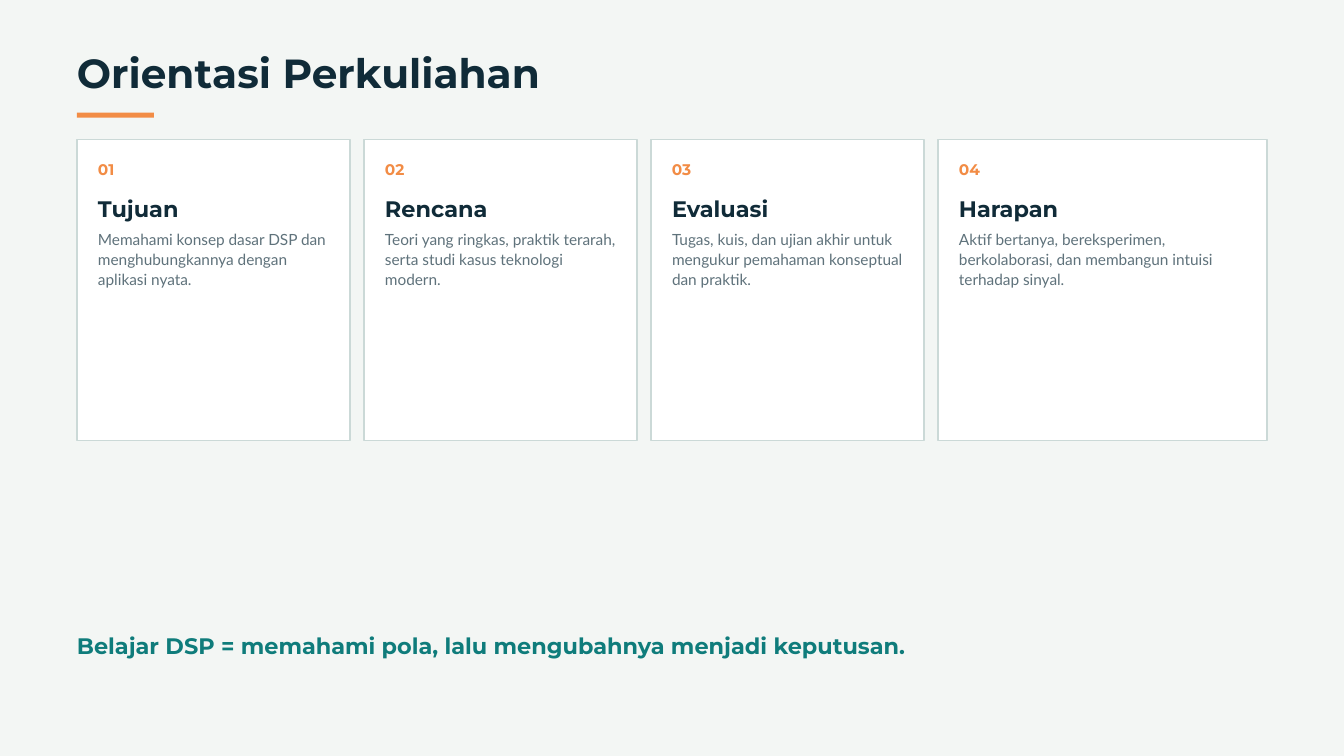
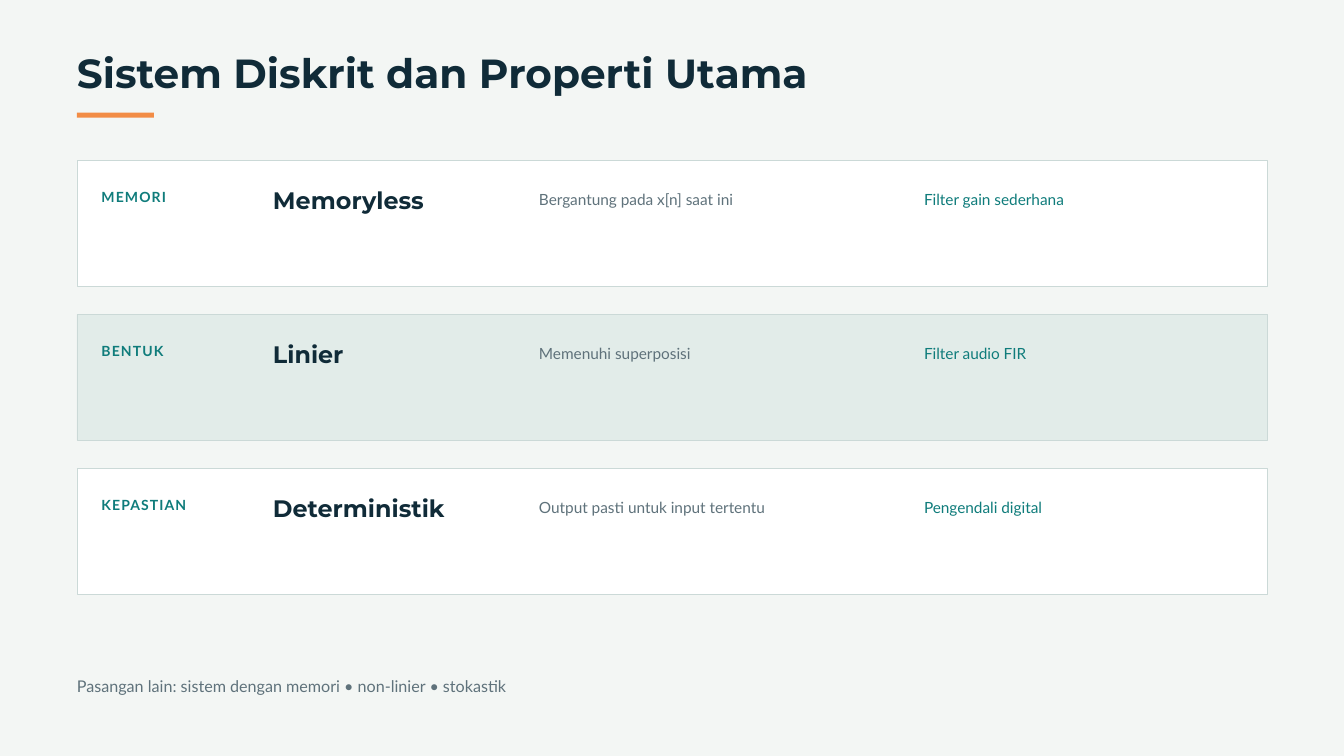
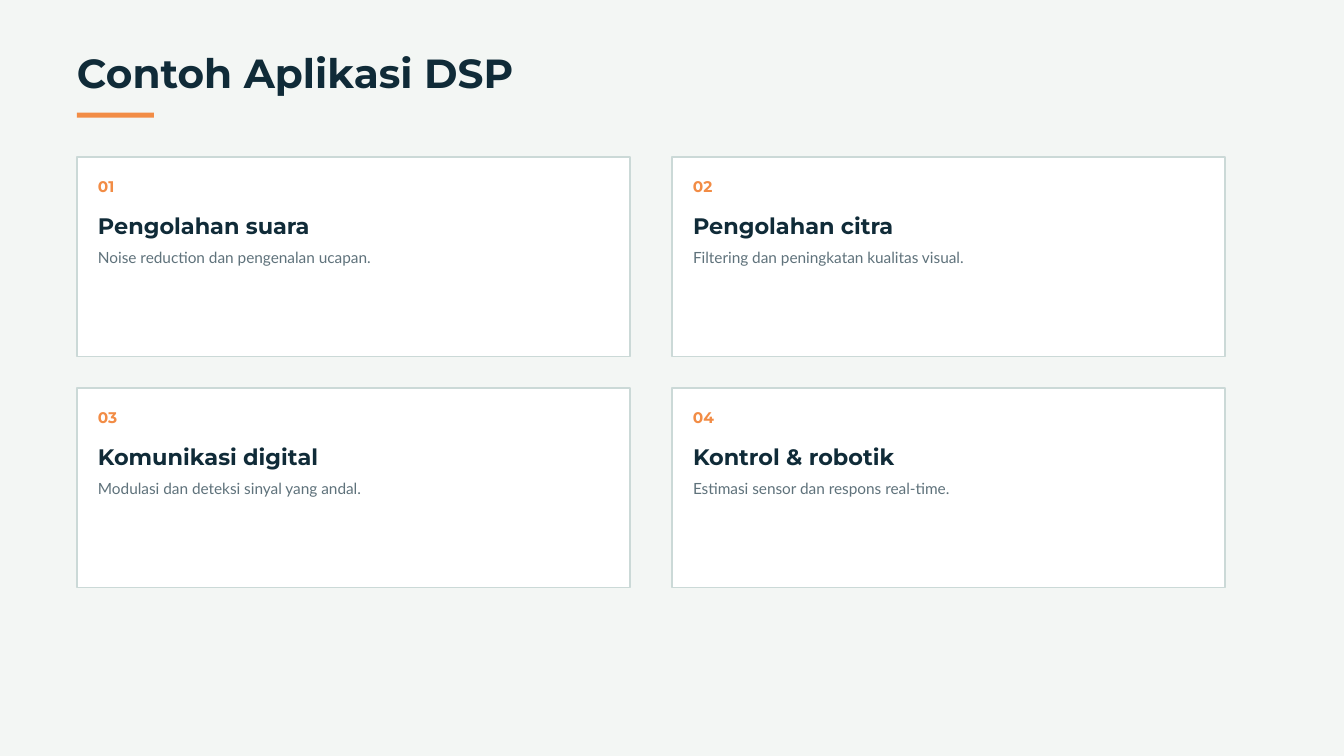
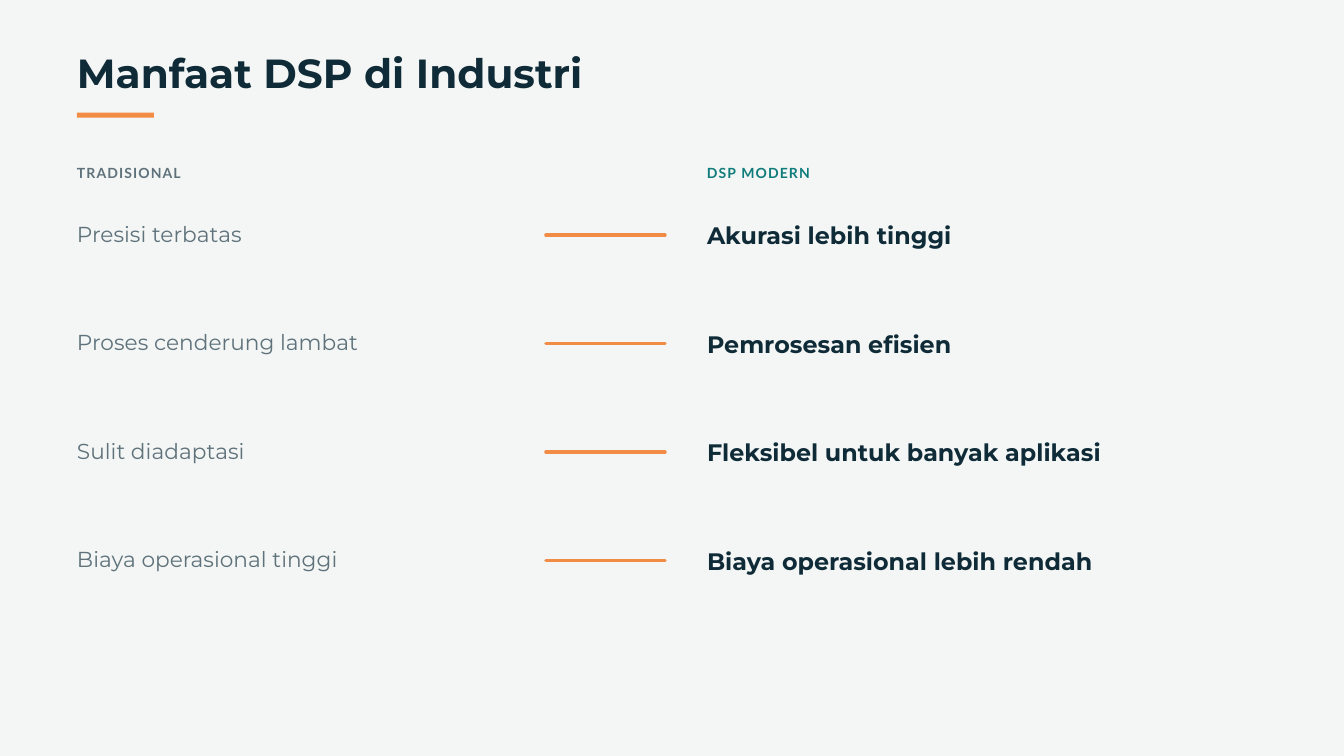
"""Build four slides of a digital signal processing lecture."""
from dataclasses import dataclass, replace

from lxml.etree import SubElement
from pptx import Presentation
from pptx.dml.color import RGBColor
from pptx.enum.shapes import MSO_CONNECTOR as Connector, MSO_SHAPE as Shape
from pptx.enum.text import MSO_ANCHOR as Anchor, MSO_AUTO_SIZE as AutoSize, PP_ALIGN as Align
from pptx.oxml.ns import qn
from pptx.util import Pt

EMU_PER_PX = 9525
WIDTH, HEIGHT = 1920, 1080
MARGIN = 110


@dataclass(frozen=True)
class TextStyle:
    """Describe the look of one kind of text."""

    font: str
    size: float
    color: str
    leading: float
    bold: bool = False
    tracking: float = 0


class Theme:
    """Hold the colours and the type styles."""

    paper, white, mint, border = "F3F6F4", "FFFFFF", "E2ECE9", "CBD9D7"
    ink, grey, teal, orange = "102B38", "5F727B", "0F7C7B", "F28C45"
    title = TextStyle("Montserrat", 43.5, ink, 47, True)
    number = TextStyle("Montserrat", 16.5, orange, 23.1, True)
    heading = TextStyle("Montserrat", 24, ink, 33.6, True)
    strong = TextStyle("Montserrat", 25.5, ink, 35.7, True)
    plain = TextStyle("Montserrat", 23.25, grey, 32.55)
    closing = replace(heading, color=teal)
    body = TextStyle("Lato", 16.5, grey, 21.45)
    example = replace(body, color=teal)
    label = TextStyle("Lato", 15, teal, 21, True, 1.2)
    muted_label = replace(label, color=grey)
    note = TextStyle("Lato", 17.25, grey, 24.15)


def px(length):
    """Turn pixels into EMU."""
    return length * EMU_PER_PX


class Deck:
    """Draw styled elements on the current slide."""

    def __init__(self, theme):
        """Start an empty presentation."""
        self.theme = theme
        self.presentation = Presentation()
        self.presentation.slide_width = px(WIDTH)
        self.presentation.slide_height = px(HEIGHT)
        self.slide = None

    def new_slide(self, title):
        """Add a slide with its background, title and accent rule."""
        self.slide = self.presentation.slides.add_slide(self.presentation.slide_layouts[6])
        fill = self.slide.background.fill
        fill.solid()
        fill.fore_color.rgb = RGBColor.from_string(self.theme.paper)
        self.text(title, self.theme.title, MARGIN, 76, 1500, 63)
        self.box(MARGIN, 161, 110, 7, self.theme.orange)

    def text(self, content, style, left, top, width, height):
        """Add a text box in one style."""
        shape = self.slide.shapes.add_textbox(px(left), px(top), px(width), px(height))
        frame = shape.text_frame
        frame.margin_left = frame.margin_top = frame.margin_right = frame.margin_bottom = 0
        frame.word_wrap = True
        frame.auto_size = AutoSize.SHAPE_TO_FIT_TEXT
        frame.vertical_anchor = Anchor.TOP
        frame.text = content
        paragraph = frame.paragraphs[0]
        paragraph.alignment = Align.LEFT
        paragraph.line_spacing = Pt(style.leading)
        for run in paragraph.runs:
            run.font.name = style.font
            run.font.size = Pt(style.size)
            run.font.bold = style.bold
            run.font.color.rgb = RGBColor.from_string(style.color)
            if style.tracking:
                run.font._element.set("spc", str(round(style.tracking * 100)))

    def box(self, left, top, width, height, color, border=0):
        """Add a filled rectangle, bordered when a border width is given."""
        shape = self.slide.shapes.add_shape(
            Shape.RECTANGLE, px(left), px(top), px(width), px(height))
        shape.shadow.inherit = False
        shape.fill.solid()
        shape.fill.fore_color.rgb = RGBColor.from_string(color)
        if border:
            shape.line.color.rgb = RGBColor.from_string(self.theme.border)
            shape.line.width = Pt(border)
        else:
            shape.line.fill.background()

    def dash(self, left, right, y):
        """Add a horizontal accent line with round ends."""
        connector = self.slide.shapes.add_connector(
            Connector.STRAIGHT, px(left), px(y), px(right), px(y))
        connector.line.color.rgb = RGBColor.from_string(self.theme.orange)
        connector.line.width = Pt(3.75)
        connector.line._get_or_add_ln().set("cap", "rnd")
        SubElement(connector._element.spPr, qn("a:effectLst"))

    def card(self, left, top, width, height, number, heading, body, body_height):
        """Add a numbered card."""
        inner = width - 60
        self.box(left, top, width, height, self.theme.white, 1.5)
        self.text(f"{number:02}", self.theme.number, left + 30, top + 25, 60, 29)
        self.text(heading, self.theme.heading, left + 30, top + 73, inner, 40)
        self.text(body, self.theme.body, left + 30, top + 128, inner, body_height)

    def property_row(self, top, color, category, name, meaning, example):
        """Add a band with the four parts of one system property."""
        self.box(MARGIN, top, 1700, 180, color, 0.75)
        self.text(category, self.theme.label, 145, top + 36, 220, 26)
        self.text(name, self.theme.strong, 390, top + 30, 340, 44)
        self.text(meaning, self.theme.body, 770, top + 41, 480, 27)
        self.text(example, self.theme.example, 1320, top + 41, 420, 27)

    def comparison(self, top, before, after):
        """Add a traditional trait linked to its modern counterpart."""
        self.text(before, self.theme.plain, MARGIN, top, 650, 42)
        self.dash(780, 950, top + 27)
        self.text(after, self.theme.strong, 1010, top, 700, 45)


def orientation(deck):
    """Build the course orientation slide."""
    deck.new_slide("Orientasi Perkuliahan")
    topics = [
        ("Tujuan", "Memahami konsep dasar DSP dan menghubungkannya dengan aplikasi nyata."),
        ("Rencana", "Teori yang ringkas, praktik terarah, serta studi kasus teknologi modern."),
        ("Evaluasi", "Tugas, kuis, dan ujian akhir untuk mengukur pemahaman konseptual dan praktik."),
        ("Harapan", "Aktif bertanya, bereksperimen, berkolaborasi, dan membangun intuisi "
                    "terhadap sinyal."),
    ]
    for index, (heading, body) in enumerate(topics):
        width = 470 if index == len(topics) - 1 else 390
        deck.card(MARGIN + index * 410, 199, width, 430, index + 1, heading, body, 84)
    deck.text("Belajar DSP = memahami pola, lalu mengubahnya menjadi keputusan.",
              deck.theme.closing, MARGIN, 896, 1500, 41)


def system_properties(deck):
    """Build the slide on discrete system properties."""
    deck.new_slide("Sistem Diskrit dan Properti Utama")
    properties = [
        ("MEMORI", "Memoryless", "Bergantung pada x[n] saat ini", "Filter gain sederhana"),
        ("BENTUK", "Linier", "Memenuhi superposisi", "Filter audio FIR"),
        ("KEPASTIAN", "Deterministik", "Output pasti untuk input tertentu", "Pengendali digital"),
    ]
    for index, parts in enumerate(properties):
        color = deck.theme.mint if index % 2 else deck.theme.white
        deck.property_row(229 + index * 220, color, *parts)
    deck.text("Pasangan lain: sistem dengan memori • non-linier • stokastik",
              deck.theme.note, MARGIN, 961, 1500, 32)


def applications(deck):
    """Build the slide of application examples."""
    deck.new_slide("Contoh Aplikasi DSP")
    examples = [
        ("Pengolahan suara", "Noise reduction dan pengenalan ucapan."),
        ("Pengolahan citra", "Filtering dan peningkatan kualitas visual."),
        ("Komunikasi digital", "Modulasi dan deteksi sinyal yang andal."),
        ("Kontrol & robotik", "Estimasi sensor dan respons real-time."),
    ]
    for index, (heading, body) in enumerate(examples):
        row, column = divmod(index, 2)
        deck.card(MARGIN + column * 850, 224 + row * 330, 790, 285,
                  index + 1, heading, body, 27)


def benefits(deck):
    """Build the slide comparing traditional and modern processing."""
    deck.new_slide("Manfaat DSP di Industri")
    deck.text("TRADISIONAL", deck.theme.muted_label, MARGIN, 231, 650, 27)
    deck.text("DSP MODERN", deck.theme.label, 1010, 231, 650, 27)
    pairs = [
        ("Presisi terbatas", "Akurasi lebih tinggi"),
        ("Proses cenderung lambat", "Pemrosesan efisien"),
        ("Sulit diadaptasi", "Fleksibel untuk banyak aplikasi"),
        ("Biaya operasional tinggi", "Biaya operasional lebih rendah"),
    ]
    for index, (before, after) in enumerate(pairs):
        deck.comparison(309 + index * 155, before, after)


def main():
    """Build and save the presentation."""
    deck = Deck(Theme())
    for build in (orientation, system_properties, applications, benefits):
        build(deck)
    deck.presentation.save("out.pptx")


if __name__ == "__main__":
    main()
